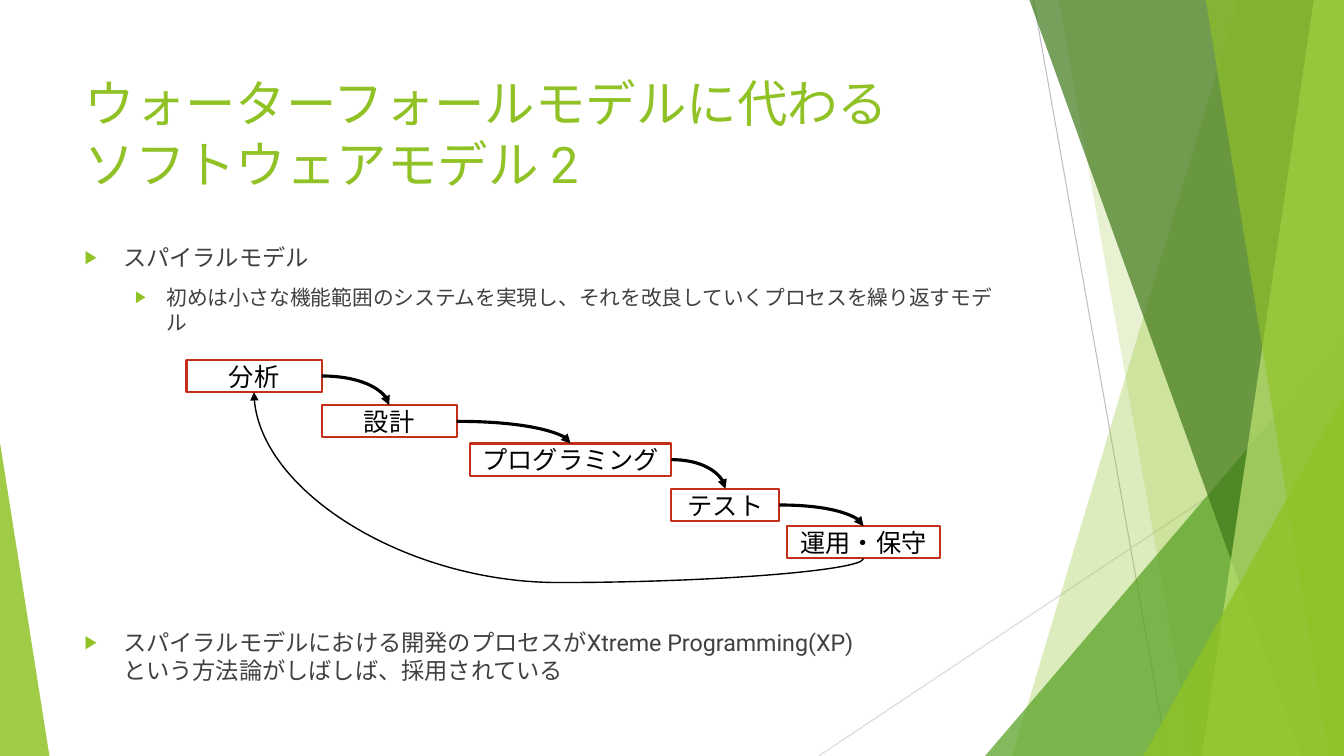
from dataclasses import dataclass

import pptx
import pptx.dml.color
import pptx.enum.lang
import pptx.enum.shapes
import pptx.enum.text
import pptx.oxml
import pptx.oxml.ns
import pptx.util
from pptx.util import Inches

SHAPE = pptx.enum.shapes.MSO_SHAPE
CONNECTOR = pptx.enum.shapes.MSO_CONNECTOR
ANCHOR = pptx.enum.text.MSO_ANCHOR
TOP, BOTTOM, RIGHT = 0, 2, 3  # connection sites of a rectangle


@dataclass(frozen=True)
class Theme:
    font: str = "Roboto"
    accent: str = "90C226"
    leaf: str = "54A021"
    forest: str = "3F7819"
    lime: str = "C0E474"
    body: str = "404040"
    ink: str = "000000"
    paper: str = "FFFFFF"
    box_line: str = "C42F1A"
    grey: str = "BFBFBF"
    pale_grey: str = "D9D9D9"
    title_size: float = 36
    box_size: float = 18
    level_sizes: tuple = (16.6, 14.8)
    level_indents: tuple = ((0.38, 0.38), (0.81, 0.31))


def color(value):
    return pptx.dml.color.RGBColor.from_string(value)


def add_xml(parent, tag, **attributes):
    element = pptx.oxml.ns.qn(tag)
    child = parent.makeelement(element, attributes)
    parent.append(child)
    return child


class SlideBuilder:
    def __init__(self, slide, theme):
        self.slide = slide
        self.theme = theme

    def add_text(self, paragraph, text, size, tint):
        """Write each line as a run, with line breaks between them."""
        for index, line in enumerate(text.split("\n")):
            if index:
                paragraph.add_line_break()
            run = paragraph.add_run()
            run.text = line
            run.font.size = pptx.util.Pt(size)
            run.font.name = self.theme.font
            run.font.color.rgb = color(tint)
            run.font.language_id = pptx.enum.lang.MSO_LANGUAGE_ID.JAPANESE
            add_xml(run.font._element, "a:ea", typeface=self.theme.font)

    def place(self, placeholder, left, top, width, height):
        placeholder.left, placeholder.top = Inches(left), Inches(top)
        placeholder.width, placeholder.height = Inches(width), Inches(height)
        frame = placeholder.text_frame
        frame.word_wrap = True
        frame.auto_size = pptx.enum.text.MSO_AUTO_SIZE.NONE
        frame.vertical_anchor = ANCHOR.TOP
        return frame

    def title(self, text, *bounds):
        paragraph = self.place(self.slide.shapes.title, *bounds).paragraphs[0]
        paragraph.alignment = pptx.enum.text.PP_ALIGN.LEFT
        self.add_text(paragraph, text, self.theme.title_size, self.theme.accent)

    def bullets(self, items, *bounds):
        frame = self.place(self.slide.placeholders[1], *bounds)
        for index, (level, space, text) in enumerate(items):
            paragraph = frame.add_paragraph() if index else frame.paragraphs[0]
            paragraph.level = level
            paragraph.space_before = pptx.util.Pt(space)
            indent, hanging = self.theme.level_indents[level]
            properties = paragraph._p.get_or_add_pPr()
            properties.set("marL", str(Inches(indent)))
            properties.set("indent", str(-Inches(hanging)))
            bullet_color = add_xml(properties, "a:buClr")
            add_xml(bullet_color, "a:srgbClr", val=self.theme.accent)
            add_xml(properties, "a:buSzPct", val="80000")
            add_xml(properties, "a:buFont", typeface="Arial")
            add_xml(properties, "a:buChar", char="▶")
            self.add_text(paragraph, text, self.theme.level_sizes[level], self.theme.body)

    def paint(self, shape, fill, opacity=100):
        shape.shadow.inherit = False
        shape.fill.solid()
        shape.fill.fore_color.rgb = color(fill)
        shape.line.fill.background()
        if opacity < 100:
            tint = shape.fill._xPr.find(".//" + pptx.oxml.ns.qn("a:srgbClr"))
            add_xml(tint, "a:alpha", val=str(opacity * 1000))

    def shard(self, top_x, bottom_x, fill, opacity):
        """A slanted band that reaches the right edge of the slide."""
        points = [(13.33, 0), (13.33, 7.5), (bottom_x, 7.5)]
        builder = self.slide.shapes.build_freeform(Inches(top_x), 0)
        builder.add_line_segments([(Inches(x), Inches(y)) for x, y in points])
        self.paint(builder.convert_to_shape(), fill, opacity)

    def triangle(self, left, top, width, apex, fill, opacity):
        """A triangle that stands on the bottom edge of the slide."""
        shape = self.slide.shapes.add_shape(
            SHAPE.ISOSCELES_TRIANGLE, Inches(left), Inches(top), Inches(width), Inches(7.5 - top))
        shape.adjustments[0] = apex
        self.paint(shape, fill, opacity)

    def box(self, text, left, top, width, height):
        shape = self.slide.shapes.add_shape(
            SHAPE.RECTANGLE, Inches(left), Inches(top), Inches(width), Inches(height))
        self.paint(shape, self.theme.paper)
        shape.line.color.rgb = color(self.theme.box_line)
        shape.line.width = pptx.util.Pt(1.5)
        frame = shape.text_frame
        frame.margin_left = frame.margin_right = frame.margin_top = frame.margin_bottom = 0
        frame.vertical_anchor = ANCHOR.MIDDLE
        frame.paragraphs[0].alignment = pptx.enum.text.PP_ALIGN.CENTER
        self.add_text(frame.paragraphs[0], text, self.theme.box_size, self.theme.ink)
        return shape

    def line(self, start, end, tint, width, kind=CONNECTOR.STRAIGHT):
        connector = self.slide.shapes.add_connector(
            kind, *(Inches(value) for value in start + end))
        connector.line.color.rgb = color(tint)
        connector.line.width = pptx.util.Pt(width)
        add_xml(connector._element.spPr, "a:effectLst")
        return connector

    def arrow(self, source, source_site, target, target_site, width):
        connector = self.line((0, 0), (1, 1), self.theme.ink, width, CONNECTOR.CURVE)
        connector.begin_connect(source, source_site)
        connector.end_connect(target, target_site)
        add_xml(connector.line._get_or_add_ln(), "a:tailEnd", type="triangle")
        return connector

    def step_arrow(self, source, target):
        connector = self.arrow(source, RIGHT, target, TOP, 2.25)
        connector._element.spPr.prstGeom.set("prst", "curvedConnector2")

    def return_arrow(self, source, target):
        """Leave the source downward and come back up into the target."""
        connector = self.arrow(source, BOTTOM, target, BOTTOM, 1)
        across, rise = connector.width, connector.height
        center_x, center_y = connector.left + across // 2, connector.top + rise // 2
        connector.left, connector.top = center_x - rise // 2, center_y - across // 2
        connector.width, connector.height = rise, across
        properties = connector._element.spPr
        transform = properties.xfrm
        transform.attrib.pop("flipV", None)
        transform.set("flipH", "1")
        transform.set("rot", "5400000")
        guides = properties.prstGeom.get_or_add_avLst()
        add_xml(guides, "a:gd", name="adj1", fmla="val -14500")


def main():
    presentation = pptx.Presentation()
    presentation.slide_width, presentation.slide_height = Inches(13.33), Inches(7.5)
    theme = Theme()
    slide = presentation.slides.add_slide(presentation.slide_layouts[1])
    builder = SlideBuilder(slide, theme)

    # Green facets along the edges
    builder.line((10.25, 0), (11.58, 7.5), theme.grey, 0.75)
    builder.line((13.33, 4.03), (8.12, 7.5), theme.pale_grey, 0.75)
    builder.shard(12.28, 10.04, theme.accent, 30)
    builder.shard(10.5, 11.83, theme.accent, 20)
    builder.triangle(9.77, 3.33, 3.56, 1, theme.leaf, 72)
    builder.shard(10.21, 12.91, theme.forest, 70)
    builder.shard(13.03, 11.92, theme.lime, 70)
    builder.shard(11.96, 13.18, theme.accent, 65)
    builder.triangle(11.34, 3.93, 1.99, 1, theme.accent, 80)
    builder.triangle(0, 4.39, 0.49, 0, theme.accent, 85)

    # Title and list, with room for the diagram before the last item
    builder.title("ウォーターフォールモデルに代わる\nソフトウェアモデル 2", 0.74, 0.67, 9.4, 1.44)
    builder.bullets([
        (0, 10, "スパイラルモデル"),
        (1, 10, "初めは小さな機能範囲のシステムを実現し、それを改良していくプロセスを繰り返すモデル"),
        (0, 210, "スパイラルモデルにおける開発のプロセスがXtreme Programming(XP)\n"
                 "という方法論がしばしば、採用されている"),
    ], 0.74, 2.36, 9.4, 4.24)

    # Spiral of development phases
    phases = [
        ("分析", 1.85, 3.57, 1.34),
        ("設計", 3.19, 4.02, 1.34),
        ("プログラミング", 4.66, 4.4, 2),
        ("テスト", 6.66, 4.85, 1.07),
        ("運用・保守", 7.81, 5.22, 1.51),
    ]
    boxes = [builder.box(*phase, 0.32) for phase in phases]
    for source, target in zip(boxes, boxes[1:]):
        builder.step_arrow(source, target)
    builder.return_arrow(boxes[-1], boxes[0])

    presentation.save("out.pptx")


if __name__ == "__main__":
    main()
